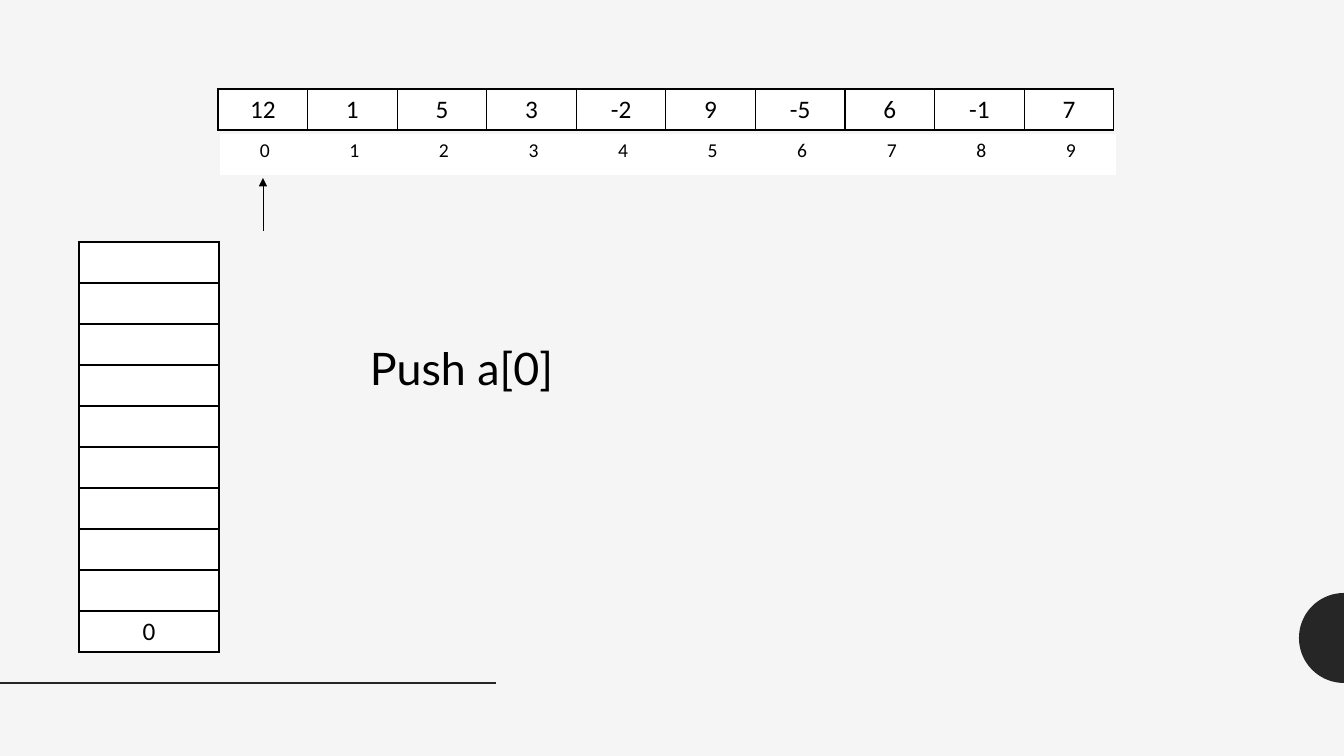
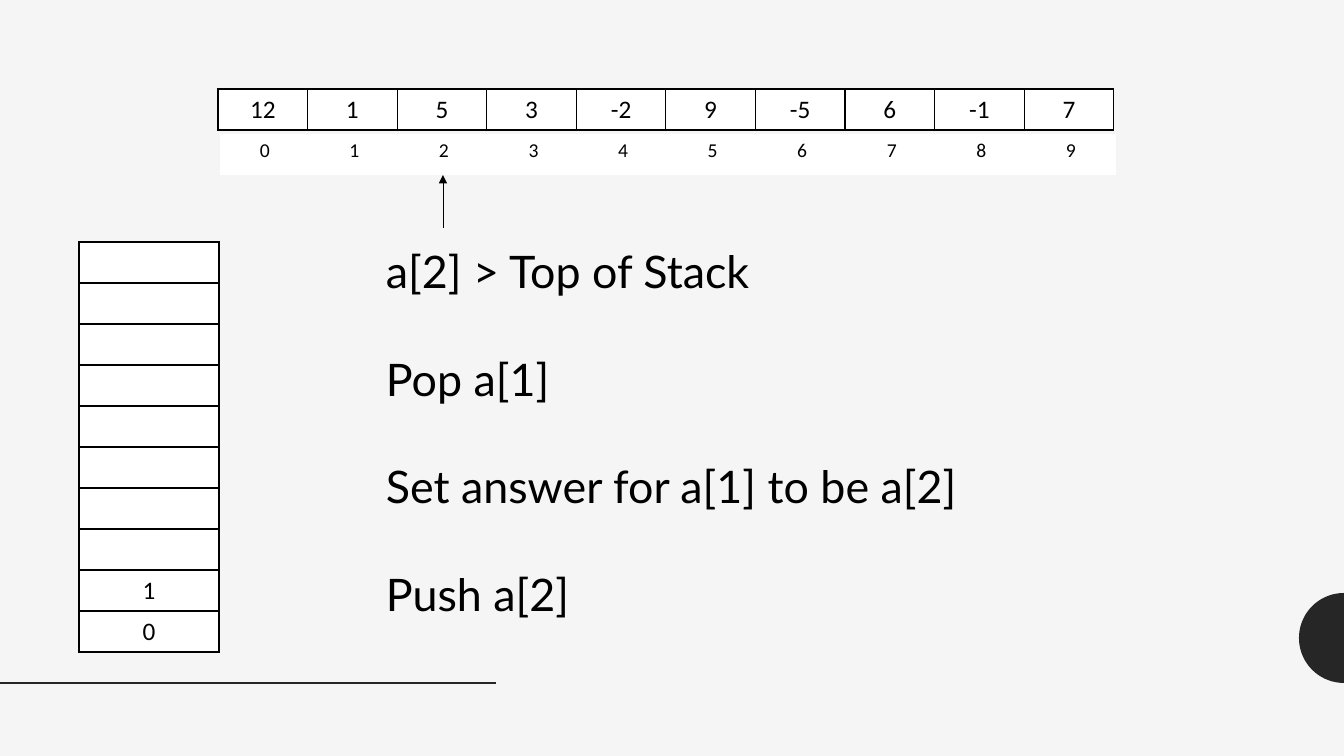
import math

from lxml import etree
from pptx import Presentation
from pptx import util as u
from pptx.dml.color import RGBColor
from pptx.enum import shapes, text
from pptx.oxml import ns

BLACK = RGBColor(0x00, 0x00, 0x00)
WHITE = RGBColor(0xFF, 0xFF, 0xFF)
DARK = RGBColor(0x26, 0x26, 0x26)
PAPER = RGBColor(0xF5, 0xF5, 0xF5)

WIDTH, HEIGHT = 1344, 756
EMU_PER_PX = 12192000 / WIDTH

VALUE = {"name": "Calibri", "size": u.Pt(18)}
INDEX = {"name": "Calibri", "size": u.Pt(14)}
STEP = {"name": "Lato", "size": u.Pt(32)}
STEP_GAP = u.Pt(38.4)

ROW = 41
STACK_SIZE = 10
ARRAY = [12, 1, 5, 3, -2, 9, -5, 6, -1, 7]


def px(n):
    return u.Emu(round(n * EMU_PER_PX))


def sub(parent, tag, **attrs):
    return etree.SubElement(parent, ns.qn(tag), attrs)


class Deck:
    """Holds the style, the presentation and the current slide."""

    def __init__(self):
        self.prs = Presentation()
        self.prs.slide_width, self.prs.slide_height = px(WIDTH), px(HEIGHT)
        fill = self.prs.slide_master.background.fill
        fill.solid()
        fill.fore_color.rgb = PAPER

    def new_slide(self):
        self.s = self.prs.slides.add_slide(self.prs.slide_layouts[6])
        self.half_disc(WIDTH, 638, 45)
        self.line((0, 683), (496, 683), DARK, 2)

    def half_disc(self, x, y, radius):
        """Left half of a disc centred on (x, y)."""
        points = [(px(x + radius * math.cos(a)), px(y + radius * math.sin(a)))
                  for a in map(math.radians, range(90, 271, 5))]
        builder = self.s.shapes.build_freeform(*points[0])
        builder.add_line_segments(points[1:])
        sp = builder.convert_to_shape()
        sp.shadow.inherit = False
        sp.fill.solid()
        sp.fill.fore_color.rgb = DARK
        sp.line.fill.background()

    def line(self, start, end, color, weight, arrow=False):
        ends = [px(n) for n in (*start, *end)]
        sp = self.s.shapes.add_connector(shapes.MSO_CONNECTOR.STRAIGHT, *ends)
        sp.line.color.rgb = color
        sp.line.width = u.Pt(weight)
        if arrow:
            sub(sp.line._get_or_add_ln(), "a:tailEnd", type="triangle")
        sub(sp._element.spPr, "a:effectLst")

    def format(self, r, style):
        for name, value in style.items():
            setattr(r.font, name, value)
        r.font.color.rgb = BLACK

    def borders(self, cell, visible):
        tc_pr = cell._tc.get_or_add_tcPr()
        for side in "LRTB":
            ln = sub(tc_pr, f"a:ln{side}", w=str(u.Pt(1)))
            if visible:
                sub(sub(ln, "a:solidFill"), "a:srgbClr", val=str(BLACK))
            else:
                sub(ln, "a:noFill")

    def table(self, x, y, width, rows, style, bordered=True):
        n_rows, n_cols = len(rows), len(rows[0])
        tbl = self.s.shapes.add_table(
            n_rows, n_cols, px(x), px(y), px(width), px(ROW * n_rows)).table
        tbl.first_row = tbl.horz_banding = False
        for i, row in enumerate(rows):
            for j, value in enumerate(row):
                cell = tbl.cell(i, j)
                self.borders(cell, bordered)
                cell.fill.solid()
                cell.fill.fore_color.rgb = WHITE
                if value is not None:
                    p = cell.text_frame.paragraphs[0]
                    p.alignment = text.PP_ALIGN.CENTER
                    r = p.add_run()
                    r.text = str(value)
                    self.format(r, style)

    def array(self):
        self.table(218, 89, 896, [ARRAY], VALUE)
        self.table(220, 134, 896, [range(len(ARRAY))], INDEX, bordered=False)

    def stack(self, items):
        """Draws the stack; items run from bottom to top."""
        empty = [None] * (STACK_SIZE - len(items))
        rows = [[item] for item in empty + items[::-1]]
        self.table(79, 242, 140, rows, VALUE)

    def pointer(self, x, y):
        """Arrow that points up at (x, y)."""
        self.line((x, y + 53), (x, y), BLACK, 0.5, arrow=True)

    def steps(self, x, y, width, height, lines):
        box = self.s.shapes.add_textbox(px(x), px(y), px(width), px(height))
        tf = box.text_frame
        tf.word_wrap = True
        for i, line in enumerate(lines):
            p = tf.add_paragraph() if i else tf.paragraphs[0]
            if i:
                p.space_before = STEP_GAP
            r = p.add_run()
            r.text = line
            self.format(r, STEP)


def main():
    deck = Deck()
    slides = [
        ([0], (263, 178), (360, 336, 327, 64), ["Push a[0]"]),
        ([0, 1], (443, 175), (376, 239, 609, 390),
         ["a[2] > Top of Stack", "Pop a[1]",
          "Set answer for a[1] to be a[2]", "Push a[2]"]),
    ]
    for items, tip, box, lines in slides:
        deck.new_slide()
        deck.array()
        deck.stack(items)
        deck.steps(*box, lines)
        deck.pointer(*tip)
    deck.prs.save("out.pptx")


if __name__ == "__main__":
    main()
